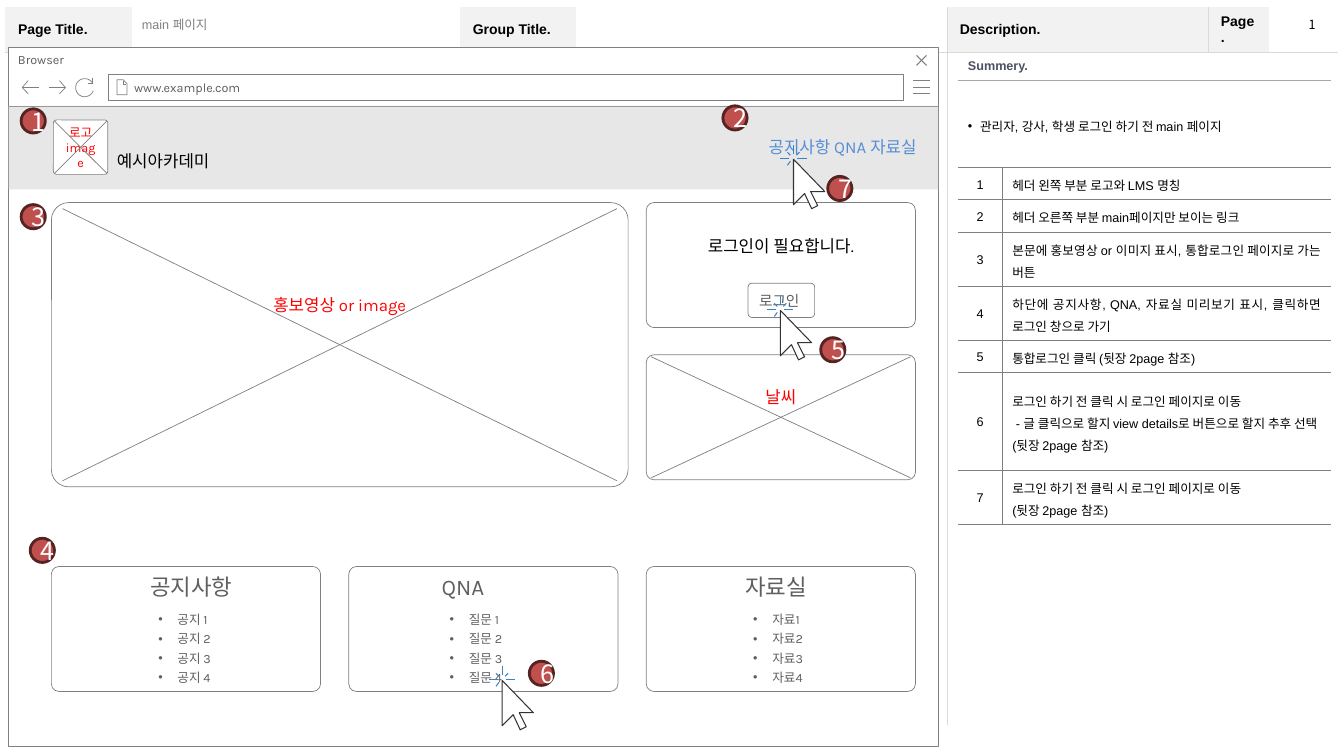
"""Build a storyboard slide: a main-page wireframe with a numbered description table."""
from math import cos, radians, sin

from lxml.etree import SubElement
from pptx import Presentation
from pptx.dml.color import RGBColor
from pptx.enum.shapes import MSO_CONNECTOR, MSO_SHAPE as SHAPE
from pptx.enum.text import MSO_ANCHOR as ANCHOR, MSO_AUTO_SIZE, PP_ALIGN as ALIGN
from pptx.oxml import parse_xml
from pptx.oxml.ns import nsdecls, qn
from pptx.util import Inches, Pt

C = {"white": "FFFFFF", "black": "000000", "gray": "808080", "text": "5F5F5F",
     "header": "F2F2F2", "rule": "D9D9D9", "summary_rule": "A6A6A6", "summary": "4E5263",
     "banner": "BFBFBF", "red": "FF0000", "link": "558ED5", "badge": "C0504D",
     "badge_line": "542322", "cursor": "333333", "spark": "3483CB"}
RGB = {name: RGBColor.from_string(value) for name, value in C.items()}
KOREAN = "Noto Sans CJK KR"
NO_STYLE = "{2D5ABB26-0587-4C30-8999-92F81FD0307C}"

prs = Presentation()
prs.slide_width, prs.slide_height = Inches(13.33), Inches(7.5)
s = prs.slides.add_slide(prs.slide_layouts[6])


def draw(kind, x, y, w, h, fill=None, line=None, weight=0.5, adj=0.061):
    """Add a preset shape, or a wrapping text box when kind is None."""
    place = [Inches(v) for v in (x, y, w, h)]
    if kind is None:
        sp = s.shapes.add_textbox(*place)
        sp.text_frame.word_wrap = True
        return sp
    sp = s.shapes.add_shape(kind, *place)
    sp.shadow.inherit = False
    sp.fill.solid()
    sp.fill.fore_color.rgb = RGB[fill]
    if line:
        sp.line.color.rgb = RGB[line]
        sp.line.width = Pt(weight)
    else:
        sp.line.fill.background()
    if kind == SHAPE.ROUNDED_RECTANGLE:
        sp.adjustments[0] = adj
    return sp


def write(tf, lines, size, color, font="Karla", align=ALIGN.LEFT, bold=False,
          spacing=None, after=None, indent=None):
    """Fill a text frame with one paragraph per line."""
    for i, line in enumerate(lines):
        p = tf.add_paragraph() if i else tf.paragraphs[0]
        p.alignment, p.line_spacing, p.space_after = align, spacing, after
        if indent:
            pPr = p._p.get_or_add_pPr()
            pPr.set("marL", str(Inches(indent)))
            pPr.set("indent", str(-Inches(indent)))
            SubElement(pPr, qn("a:buFont"), typeface="Arial")
            SubElement(pPr, qn("a:buChar"), char="•")
        r = p.add_run()
        r.text = line
        r.font.size, r.font.bold, r.font.name = Pt(size), bold, font
        r.font.color.rgb = RGB[color]
        SubElement(r._r.get_or_add_rPr(), qn("a:ea"), typeface=KOREAN)
    return tf


frame_cols, frame_rows = [1.26, 3.25, 1.15, 3.68, 2.59, 0.61, 0.68], [0.44, 6.67]
note_cols = [0.44, 3.26]
note_rows = [0.28, 0.86, 0.32, 0.32, 0.53, 0.53, 0.32, 0.97, 0.53]
tables = []
for x, y, cols, rows in [(0.05, 0.07, frame_cols, frame_rows), (9.5, 0.52, note_cols, note_rows)]:
    shape = s.shapes.add_table(len(rows), len(cols), Inches(x), Inches(y),
                               Inches(sum(cols)), Inches(sum(rows)))
    table = shape.table
    table.first_row = table.horz_banding = False
    table._tbl.tblPr.find(qn("a:tableStyleId")).text = NO_STYLE
    for col, width in zip(table.columns, cols):
        col.width = Inches(width)
    for row, height in zip(table.rows, rows):
        row.height = Inches(height)
    tables.append(table)
frame, notes = tables

frame.cell(1, 0).merge(frame.cell(1, 3))
frame.cell(1, 4).merge(frame.cell(1, 6))
for col, label in {0: "Page Title.", 2: "Group Title.", 4: "Description.", 5: "Page."}.items():
    cell = frame.cell(0, col)
    cell.fill.solid()
    cell.fill.fore_color.rgb = RGB["header"]
    cell.vertical_anchor = ANCHOR.MIDDLE
    cell.margin_left = cell.margin_right = Inches(0.13)
    cell.margin_top = cell.margin_bottom = Inches(0.07)
    write(cell.text_frame, [label], 10, "black", "Arial", bold=True)

for row in (0, 1):
    notes.cell(row, 0).merge(notes.cell(row, 1))
    notes.cell(row, 0).vertical_anchor = ANCHOR.MIDDLE
write(notes.cell(0, 0).text_frame, ["Summery."], 9, "summary", "Arial", bold=True)
write(notes.cell(1, 0).text_frame, ["관리자, 강사, 학생 로그인 하기 전 main 페이지"], 9, "black",
      "Arial", ALIGN.JUSTIFY, spacing=1.2, indent=0.12)
descriptions = [
    ["헤더 왼쪽 부분 로고와 LMS 명칭"],
    ["헤더 오른쪽 부분 main페이지만 보이는 링크"],
    ["본문에 홍보영상 or 이미지 표시, 통합로그인 페이지로 가는 버튼"],
    ["하단에 공지사항, QNA, 자료실 미리보기 표시, 클릭하면 로그인 창으로 가기"],
    ["통합로그인 클릭 (뒷장 2page 참조)"],
    ["로그인 하기 전 클릭 시 로그인 페이지로 이동",
     " - 글 클릭으로 할지 view details로 버튼으로 할지 추후 선택", "(뒷장 2page 참조)"],
    ["로그인 하기 전 클릭 시 로그인 페이지로 이동", "(뒷장 2page 참조)"],
]
for number, lines in enumerate(descriptions, 1):
    for col, (content, align) in enumerate([([str(number)], ALIGN.CENTER), (lines, ALIGN.JUSTIFY)]):
        cell = notes.cell(number + 1, col)
        cell.vertical_anchor = ANCHOR.MIDDLE
        write(cell.text_frame, content, 9, "black", "Arial", align, spacing=1.2)

edges = [(frame.cell(row, 4), "lnL", "rule") for row in (0, 1)]
edges += [(notes.cell(row, 1), "lnL", "gray") for row in range(2, 9)]
edges += [(frame.cell(0, col), "lnB", "rule") for col in range(7)]
edges += [(notes.cell(row, col), "lnB", "gray" if row else "summary_rule")
          for row in range(9) for col in (0, 1)]
for cell, side, color in edges:
    tcPr = cell._tc.get_or_add_tcPr()
    ln = parse_xml(f'<a:{side} {nsdecls("a")} w="{Pt(0.25)}"><a:solidFill>'
                   f'<a:srgbClr val="{C[color]}"/></a:solidFill></a:{side}>')
    tcPr.insert(len(tcPr.findall(qn("a:lnL"))), ln)

tf = write(draw(None, 1.31, 0.12, 3.24, 0.24).text_frame, ["main 페이지"], 9, "gray", "Arial")
tf.vertical_anchor = ANCHOR.MIDDLE
tf = write(draw(None, 12.88, 0.12, 0.27, 0.25).text_frame, ["1"], 9, "black", KOREAN)
tf.word_wrap = False

draw(SHAPE.RECTANGLE, 0.08, 1.05, 9.23, 6.35, "white", "gray")
title_bar = draw(SHAPE.RECTANGLE, 0.08, 0.47, 9.23, 0.59, "white", "gray")
write(title_bar.text_frame, ["Browser"], 9, "text").vertical_anchor = ANCHOR.TOP
address = draw(SHAPE.RECTANGLE, 1.07, 0.74, 7.89, 0.26, "white", "gray")
write(address.text_frame, ["www.example.com"], 9, "text").margin_left = Inches(0.26)
banner = draw(SHAPE.RECTANGLE, 0.08, 1.05, 9.23, 0.83, "banner")
SubElement(banner._element.spPr.find(".//" + qn("a:srgbClr")), qn("a:alpha"), val="37000")

placeholders = [
    (0.53, 1.19, 0.54, 0.54, 0.01, 0.01, 9, 0.05, ["로고", "image"]),
    (0.51, 2.01, 5.72, 2.82, 0.11, 0.06, 12, 0.85, ["홍보영상 or image"]),
    (6.41, 3.52, 2.67, 1.24, 0.05, 0.02, 12, 0.45, ["날씨"]),
]
for x, y, w, h, dx, dy, size, bottom, lines in placeholders:
    sp = draw(SHAPE.ROUNDED_RECTANGLE, x, y, w, h, "white", "gray")
    write(sp.text_frame, lines, size, "red", align=ALIGN.CENTER).margin_bottom = Inches(bottom)
    for y1, y2 in [(y + dy, y + h - dy), (y + h - dy, y + dy)]:
        diagonal = s.shapes.add_connector(MSO_CONNECTOR.STRAIGHT, Inches(x + dx), Inches(y1),
                                          Inches(x + w - dx), Inches(y2))
        diagonal.line.color.rgb = RGB["gray"]
        diagonal.line.width = Pt(0.5)
        SubElement(diagonal._element.spPr, qn("a:effectLst"))

write(draw(None, 1.06, 1.45, 1.82, 0.3).text_frame, ["예시아카데미"], 12, "black", KOREAN)
write(draw(None, 2.52, 1.31, 6.67, 0.3).text_frame, ["공지사항 QNA 자료실"], 12, "link",
      align=ALIGN.RIGHT)
login = draw(SHAPE.ROUNDED_RECTANGLE, 6.41, 2.01, 2.67, 1.24, "white", "gray")
write(login.text_frame, ["로그인이 필요합니다."], 12, "black",
      align=ALIGN.CENTER).margin_bottom = Inches(0.43)
button = draw(SHAPE.ROUNDED_RECTANGLE, 7.42, 2.81, 0.66, 0.34, "white", "gray", adj=0.112)
write(button.text_frame, ["로그인"], 10.5, "text").word_wrap = False

cards = [(1.49, "공지사항", "공지 "), (4.38, "QNA", "질문 "), (7.39, "자료실", "자료")]
for i, (x, title, item) in enumerate(cards):
    draw(SHAPE.ROUNDED_RECTANGLE, 0.51 + 2.95 * i, 5.62, 2.67, 1.24, "white", "gray")
    tf = write(draw(None, x, 5.69, 1.24, 0.27).text_frame, [title], 16, "text")
    tf.margin_left = tf.margin_right = tf.margin_top = tf.margin_bottom = 0
    tf = write(draw(None, x, 6.03, 0.92, 0.81).text_frame, [f"{item}{n}" for n in range(1, 5)],
               9, "text", align=ALIGN.JUSTIFY, after=Pt(3), indent=0.19)
    tf.margin_left = tf.margin_right = Inches(0.08)
    tf.margin_top = tf.margin_bottom = Inches(0.04)
    tf.auto_size = MSO_AUTO_SIZE.NONE

arc = [(0.84 + 0.09 * cos(radians(a)), 0.87 + 0.09 * sin(radians(a))) for a in range(20, 336, 15)]
icons = [
    ([[(9.06, y), (9.22, y)] for y in (0.8, 0.87, 0.93)], None, "gray", 0.5),
    ([[(9.19, 0.55), (9.09, 0.65)], [(9.09, 0.55), (9.19, 0.65)]], None, "gray", 0.75),
    ([[(1.22, 0.8), (1.22, 0.84), (1.25, 0.84)],
      [(1.16, 0.79), (1.16, 0.94), (1.26, 0.94), (1.26, 0.83), (1.22, 0.79), (1.16, 0.79)]],
     None, "gray", 0.5),
    ([[(0.28, 0.93), (0.22, 0.87), (0.28, 0.8)], [(0.22, 0.87), (0.39, 0.87)]], None, "gray", 0.5),
    ([[(0.59, 0.8), (0.65, 0.87), (0.59, 0.93)], [(0.65, 0.87), (0.49, 0.87)]], None, "gray", 0.5),
    ([[(0.92, 0.77), (0.92, 0.83), (0.87, 0.83)], arc], None, "gray", 0.5),
]
arrow = [[(0, 0), (0, 0.45), (0.11, 0.34), (0.18, 0.49), (0.24, 0.46), (0.17, 0.32),
          (0.31, 0.32), (0, 0)]]
spark = [[(-0.03, 0.02), (-0.06, 0.06)], [(-0.03, -0.04), (-0.06, -0.07)],
         [(0.03, -0.04), (0.06, -0.07)], [(-0.04, -0.01), (-0.13, -0.01)],
         [(0, -0.05), (0, -0.14)], [(0.04, -0.01), (0.13, -0.01)]]
for tip_x, tip_y in [(4.98, 6.75), (7.74, 3.08), (7.87, 1.58)]:
    for strokes, fill, color in [(arrow, "white", "cursor"), (spark, None, "spark")]:
        moved = [[(tip_x + x, tip_y + y) for x, y in stroke] for stroke in strokes]
        icons.append((moved, fill, color, 0.75))
for strokes, fill, color, weight in icons:
    paths = [[(Inches(x), Inches(y)) for x, y in stroke] for stroke in strokes]
    builder = s.shapes.build_freeform(*paths[0][0])
    for i, points in enumerate(paths):
        if i:
            builder.move_to(*points[0])
        builder.add_line_segments(points[1:], close=False)
    sp = builder.convert_to_shape()
    sp.shadow.inherit = False
    if fill:
        sp.fill.solid()
        sp.fill.fore_color.rgb = RGB[fill]
    else:
        sp.fill.background()
    sp.line.color.rgb = RGB[color]
    sp.line.width = Pt(weight)

badges = [(0.21, 1.08), (7.17, 1.05), (0.21, 2.03), (0.3, 5.34), (8.14, 3.35), (5.25, 6.56), (8.21, 1.75)]
for number, (x, y) in enumerate(badges, 1):
    sp = draw(SHAPE.OVAL, x, y, 0.24, 0.24, "badge", "badge_line", 2)
    write(sp.text_frame, [str(number)], 18, "white", KOREAN, ALIGN.CENTER)

prs.save("out.pptx")
